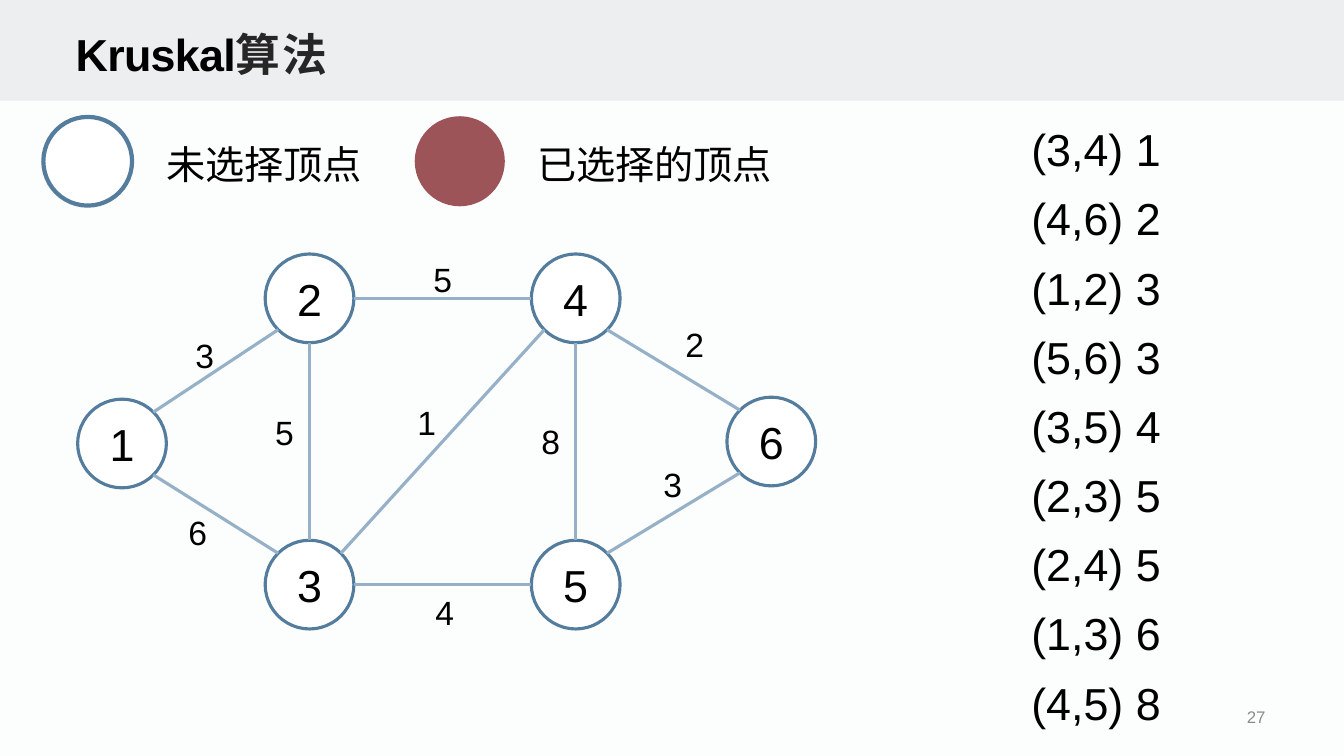
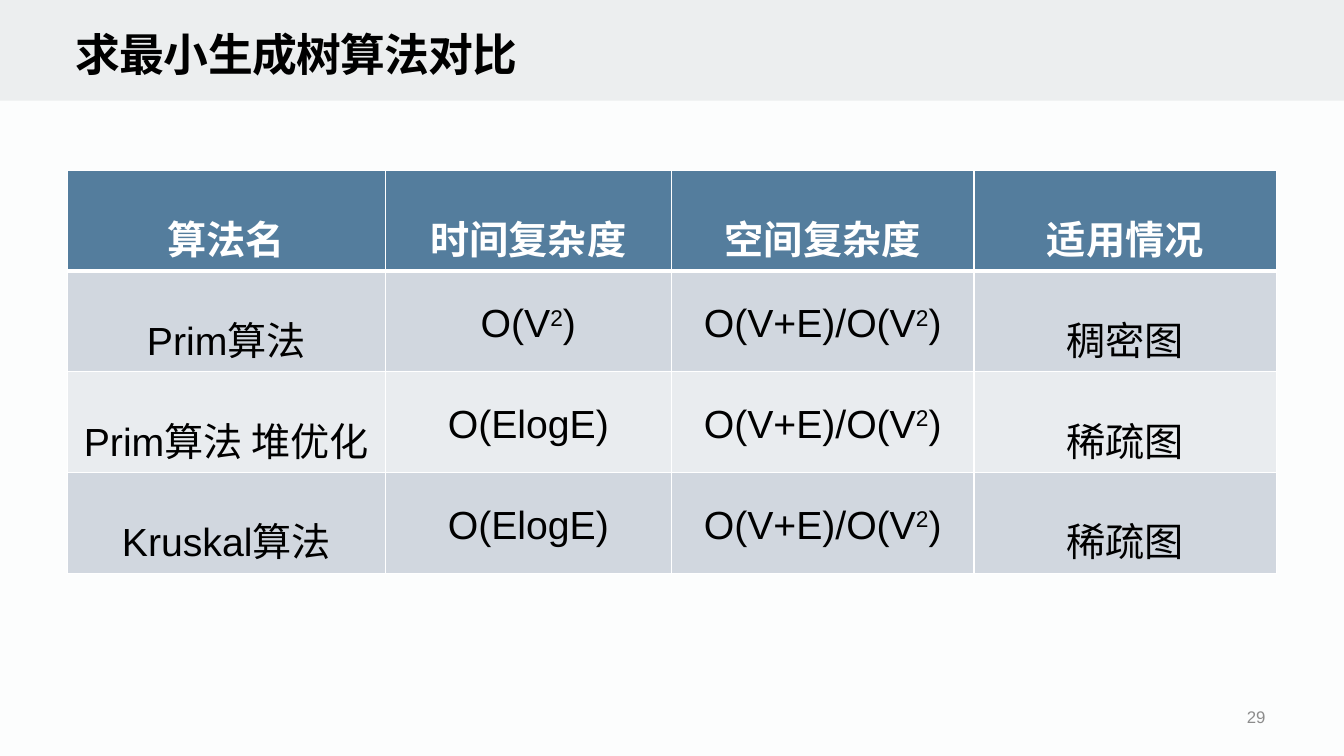
import math

from lxml import etree
from pptx import Presentation
from pptx import util as u
from pptx.dml.color import RGBColor
from pptx.enum import shapes, text
from pptx.oxml import ns

COLORS = {
    "page": "FCFDFD", "band": "ECEEEF", "black": "000000", "white": "FFFFFF",
    "title_end": "262626", "number": "8C8C8C", "blue": "547D9D",
    "edge": "96B1C7", "chosen": "9D5458", "row_dark": "D1D7DF", "row_light": "E9ECEF",
}
FONT = "Arial"
DIAMETER = 0.88
VERTICES = {
    1: (0.77, 3.96), 2: (2.63, 2.52), 3: (2.63, 5.36),
    4: (5.27, 2.52), 5: (5.27, 5.36), 6: (7.21, 3.94),
}
EDGES = [
    (3, 4, 1, (4.04, 3.94)), (4, 6, 2, (6.7, 3.16)), (1, 2, 3, (1.84, 3.27)),
    (5, 6, 3, (6.48, 4.55)), (3, 5, 4, (4.22, 5.82)), (2, 3, 5, (2.63, 4.04)),
    (2, 4, 5, (4.2, 2.52)), (1, 3, 6, (1.77, 5.03)), (4, 5, 8, (5.27, 4.13)),
]
LIST_TOP, LIST_BOTTOM = 1.16, 6.65
SQUARED = [("2", {"baseline": 30000}), (")", {})]
TIME_PRIM = [("O(V", {}), *SQUARED]
SPACE = [("O(V+E)/O(V", {}), *SQUARED]
COMPARISON = [
    ["算法名", "时间复杂度", "空间复杂度", "适用情况"],
    ["Prim算法", TIME_PRIM, SPACE, "稠密图"],
    ["Prim算法 堆优化", "O(ElogE)", SPACE, "稀疏图"],
    ["Kruskal算法", "O(ElogE)", SPACE, "稀疏图"],
]
COLUMN_WIDTHS = [3.15, 2.84, 3, 3]
ROW_HEIGHT = 0.85


def rgb(name):
    """Return the named colour."""
    return RGBColor.from_string(COLORS[name])


def write(frame, content, size=32, color="black", bold=False, align="LEFT",
          spacing=None, line_spacing=None):
    """Write a string, or a list of (string, overrides) spans, as one paragraph."""
    para = frame.paragraphs[0]
    para.alignment = text.PP_ALIGN[align]
    para.line_spacing = line_spacing
    for words, extra in [(content, {})] if isinstance(content, str) else content:
        span = para.add_run()
        span.text = words
        span.font.name = FONT
        span.font.size = u.Pt(size)
        span.font.bold = bold
        span.font.color.rgb = rgb(extra.get("color", color))
        marks = {"spc": extra.get("spacing", spacing), "baseline": extra.get("baseline")}
        for mark, value in marks.items():
            if value is not None:
                span._r.get_or_add_rPr().set(mark, str(value))


def add_text(page, content, left, top, width, height, wrap=True, grow=False,
             anchor="TOP", **style):
    """Add a text box."""
    box = page.shapes.add_textbox(*map(u.Inches, (left, top, width, height)))
    frame = box.text_frame
    frame.word_wrap = wrap
    frame.auto_size = text.MSO_AUTO_SIZE.SHAPE_TO_FIT_TEXT if grow else text.MSO_AUTO_SIZE.NONE
    frame.vertical_anchor = text.MSO_ANCHOR[anchor]
    if anchor == "BOTTOM":
        frame.margin_left = frame.margin_right = u.Inches(0.08)
        frame.margin_top = frame.margin_bottom = u.Inches(0.04)
    write(frame, content, **style)


def add_shape(page, kind, left, top, width, height, fill, line=None, weight=1):
    """Add a flat preset shape."""
    shape = page.shapes.add_shape(kind, *map(u.Inches, (left, top, width, height)))
    shape.shadow.inherit = False
    shape.fill.solid()
    shape.fill.fore_color.rgb = rgb(fill)
    if line:
        shape.line.color.rgb = rgb(line)
        shape.line.width = u.Pt(weight)
    else:
        shape.line.fill.background()
    return shape


def add_circle(page, left, top, fill="white", line="blue", weight=2.25, label=""):
    """Add a graph vertex, labelled if asked."""
    circle = add_shape(page, shapes.MSO_SHAPE.OVAL, left, top, DIAMETER, DIAMETER,
                       fill, line, weight)
    if label:
        circle.text_frame.vertical_anchor = text.MSO_ANCHOR.MIDDLE
        write(circle.text_frame, label, align="CENTER")


def rim_point(vertex, angle):
    """Return the point of a vertex's rim at an angle."""
    radius = DIAMETER / 2
    left, top = VERTICES[vertex]
    return left + radius * (1 + math.cos(angle)), top + radius * (1 + math.sin(angle))


def add_edge(page, start, end):
    """Join two vertices at the rim points nearest in steps of 45 degrees."""
    (x1, y1), (x2, y2) = VERTICES[start], VERTICES[end]
    step = math.pi / 4
    angle = round(math.atan2(y2 - y1, x2 - x1) / step) * step
    ends = rim_point(start, angle) + rim_point(end, angle + math.pi)
    line = page.shapes.add_connector(shapes.MSO_CONNECTOR.STRAIGHT, *map(u.Inches, ends))
    line.line.color.rgb = rgb("edge")
    line.line.width = u.Pt(2.25)
    etree.SubElement(line._element.spPr, ns.qn("a:effectLst"))


def add_borders(cell, **weights):
    """Give a cell white borders, in points by side."""
    properties = cell._tc.get_or_add_tcPr()
    for place, (side, weight) in enumerate(weights.items()):
        line = etree.Element(ns.qn(f"a:ln{side}"), w=str(u.Pt(weight)))
        fill = etree.SubElement(line, ns.qn("a:solidFill"))
        etree.SubElement(fill, ns.qn("a:srgbClr"), val=COLORS["white"])
        properties.insert(place, line)


def add_comparison(page, left, top):
    """Add the table that compares the algorithms."""
    rows, columns = len(COMPARISON), len(COLUMN_WIDTHS)
    size = sum(COLUMN_WIDTHS), rows * ROW_HEIGHT
    table = page.shapes.add_table(rows, columns, *map(u.Inches, (left, top, *size))).table
    for column, width in zip(table.columns, COLUMN_WIDTHS):
        column.width = u.Inches(width)
    for r, contents in enumerate(COMPARISON):
        header = r == 0
        fill = "blue" if header else "row_dark" if r % 2 else "row_light"
        for c, content in enumerate(contents):
            cell = table.cell(r, c)
            cell.fill.solid()
            cell.fill.fore_color.rgb = rgb(fill)
            add_borders(cell, L=1, R=1, T=3 if r == 1 else 1, B=3 if header else 1)
            write(cell.text_frame, content, size=28, bold=header, align="CENTER",
                  color="white" if header else "black", line_spacing=1.6)


def add_page(deck, title, number):
    """Add a page with its band, title and number."""
    page = deck.slides.add_slide(deck.slide_layouts[6])
    page.background.fill.solid()
    page.background.fill.fore_color.rgb = rgb("page")
    add_shape(page, shapes.MSO_SHAPE.RECTANGLE, 0, 0, 13.33, 1, "band")
    add_text(page, number, 9.7, 6.94, 2.95, 0.35, anchor="MIDDLE", size=12,
             color="number", align="RIGHT")
    add_text(page, title, 0.67, 0.17, 12, 0.67, anchor="BOTTOM", bold=True, spacing=-50)
    return page


def add_graph(page):
    """Add the weighted graph and its sorted list of edges."""
    for vertex, place in VERTICES.items():
        add_circle(page, *place, label=str(vertex))
    pitch = (LIST_BOTTOM - LIST_TOP) / (len(EDGES) - 1)
    for row, (start, end, weight, place) in enumerate(EDGES):
        add_edge(page, start, end)
        add_text(page, str(weight), *place, 0.39, 0.5, wrap=False, grow=True, size=24)
        add_text(page, f"({start},{end}) {weight}", 10.13, LIST_TOP + row * pitch,
                 1.82, 0.64, grow=True)


def add_legend(page):
    """Add the key to the vertex colours."""
    add_circle(page, 0.43, 1.16, weight=3)
    add_circle(page, 4.12, 1.16, fill="chosen", line="chosen", weight=1)
    for words, left, width in [("未选择顶点", 1.55, 2.14), ("已选择的顶点", 5.23, 2.53)]:
        add_text(page, words, left, 1.34, width, 0.57, wrap=False, grow=True, size=28)


def main():
    """Build and save the deck."""
    deck = Presentation()
    deck.slide_width, deck.slide_height = u.Inches(13.33), u.Inches(7.5)
    title = [("Kruskal", {}), ("算法", {"color": "title_end", "spacing": 150})]
    page = add_page(deck, title, "27")
    add_graph(page)
    add_legend(page)
    page = add_page(deck, "求最小生成树算法对比", "29")
    add_comparison(page, 0.67, 1.69)
    deck.save("out.pptx")


if __name__ == "__main__":
    main()
